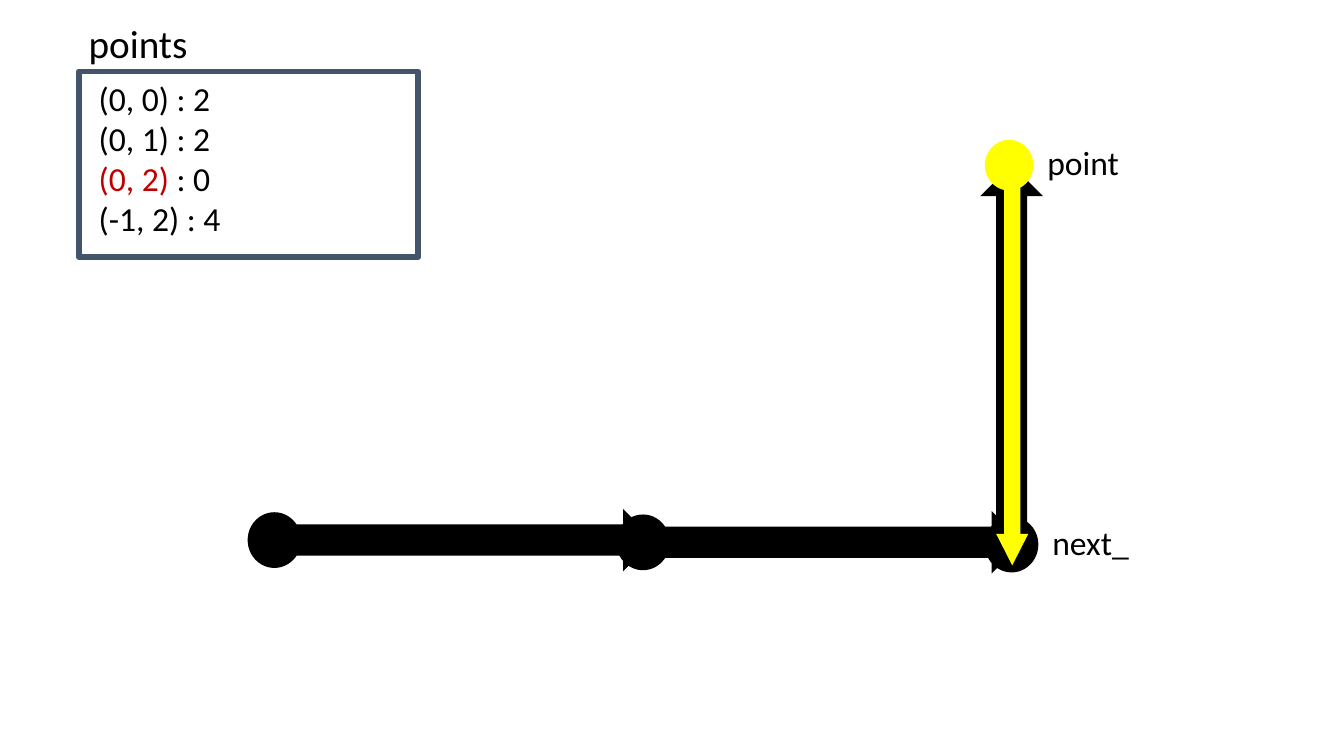
import pptx
import pptx.util
import pptx.dml.color
import pptx.enum.shapes
import pptx.enum.text

Pt = pptx.util.Pt
SHAPES = pptx.enum.shapes.MSO_SHAPE
BLACK, YELLOW, RED, SLATE = "000000", "FFFF00", "C00000", "44546A"
FONT = "Calibri"
ARROW_LENGTH, ARROW_HEIGHT = 271.4, 44.6


def color(hex_string):
    return pptx.dml.color.RGBColor.from_string(hex_string)


def add_centered(slide, kind, center, size, fill):
    (x, y), (width, height) = center, size
    shape = slide.shapes.add_shape(
        kind, Pt(x - width / 2), Pt(y - height / 2), Pt(width), Pt(height))
    shape.shadow.inherit = False
    shape.fill.solid()
    shape.fill.fore_color.rgb = color(fill)
    shape.line.fill.background()
    return shape


def add_arrow(slide, center, size, fill, rotation=0):
    arrow = add_centered(slide, SHAPES.RIGHT_ARROW, center, size, fill)
    arrow.rotation = rotation
    return arrow


def add_text(slide, box, paragraphs, size):
    left, top, width, height = box
    text_box = slide.shapes.add_textbox(Pt(left), Pt(top), Pt(width), Pt(height))
    frame = text_box.text_frame
    frame.word_wrap = False
    frame.auto_size = pptx.enum.text.MSO_AUTO_SIZE.SHAPE_TO_FIT_TEXT
    for index, runs in enumerate(paragraphs):
        paragraph = frame.add_paragraph() if index else frame.paragraphs[0]
        for text, hex_string in runs:
            run = paragraph.add_run()
            run.text = text
            run.font.name = FONT
            run.font.size = Pt(size)
            run.font.color.rgb = color(hex_string)


def add_path(slide, box):
    left, top, width, height = box
    right = left + width
    bottom = top + height
    step = width / 2
    rise = 1.6
    for index in range(3):
        x, y = left + index * step, bottom + index * rise
        add_centered(slide, SHAPES.OVAL, (x, y), (38.2, 39.8), BLACK)
        if index < 2:
            add_arrow(slide, (x + ARROW_LENGTH / 2, y),
                      (ARROW_LENGTH, ARROW_HEIGHT), BLACK)
    add_arrow(slide, (right, top + 135.4), (ARROW_LENGTH, ARROW_HEIGHT),
              BLACK, 270)
    add_centered(slide, SHAPES.OVAL, (right - 1.8, top), (34.6, 36.2), YELLOW)
    back_arrow = add_arrow(slide, (right + 0.4, top + 140.4), (290.9, 23),
                           YELLOW, 90)
    back_arrow.adjustments[1] = 0.98
    add_text(slide, (right + 18.4, top - 20.1, 66, 36), [[("point", BLACK)]], 24)
    add_text(slide, (right + 22, bottom - 16.6, 70, 36), [[("next_", BLACK)]], 24)


def add_points_list(slide, box):
    left, top, width, height = box
    title_height = 41
    add_text(slide, (left, top, 85.7, title_height), [[("points", BLACK)]], 28)
    frame_top = top + title_height
    frame = slide.shapes.add_shape(
        SHAPES.RECTANGLE, Pt(left), Pt(frame_top),
        Pt(width), Pt(height - title_height))
    frame.shadow.inherit = False
    frame.fill.background()
    frame.line.color.rgb = color(SLATE)
    frame.line.width = Pt(4.25)
    entries = [
        [("(0, 0) : 2", BLACK)],
        [("(0, 1) : 2", BLACK)],
        [("(0, 2) ", RED), (": 0", BLACK)],
        [("(-1, 2) : 4", BLACK)],
    ]
    add_text(slide, (left + 7.2, frame_top + 0.7, 102, 124), entries, 24)


def main():
    presentation = pptx.Presentation()
    presentation.slide_width = Pt(960)
    presentation.slide_height = Pt(540)
    slide = presentation.slides.add_slide(presentation.slide_layouts[6])
    add_path(slide, (196, 118, 526.6, 267.8))
    add_points_list(slide, (56.2, 10.1, 242.6, 173.5))
    presentation.save("out.pptx")


if __name__ == "__main__":
    main()
